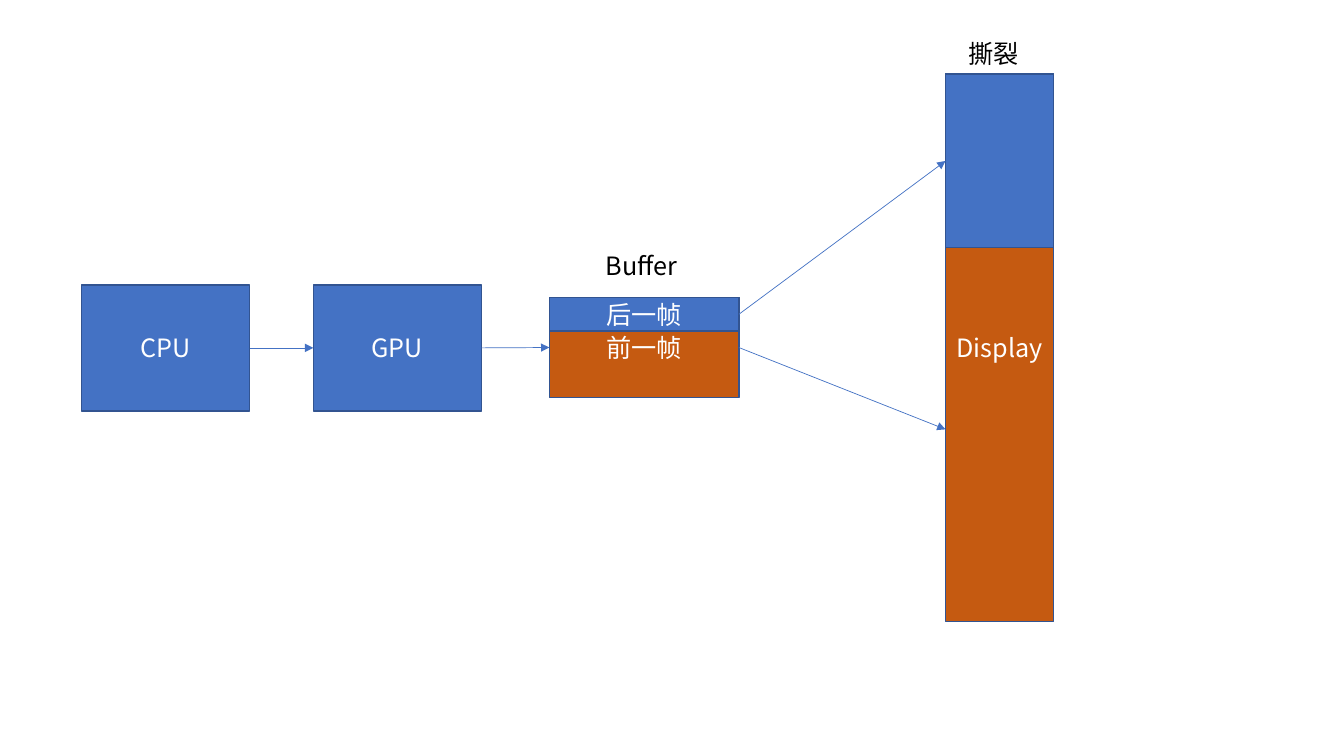
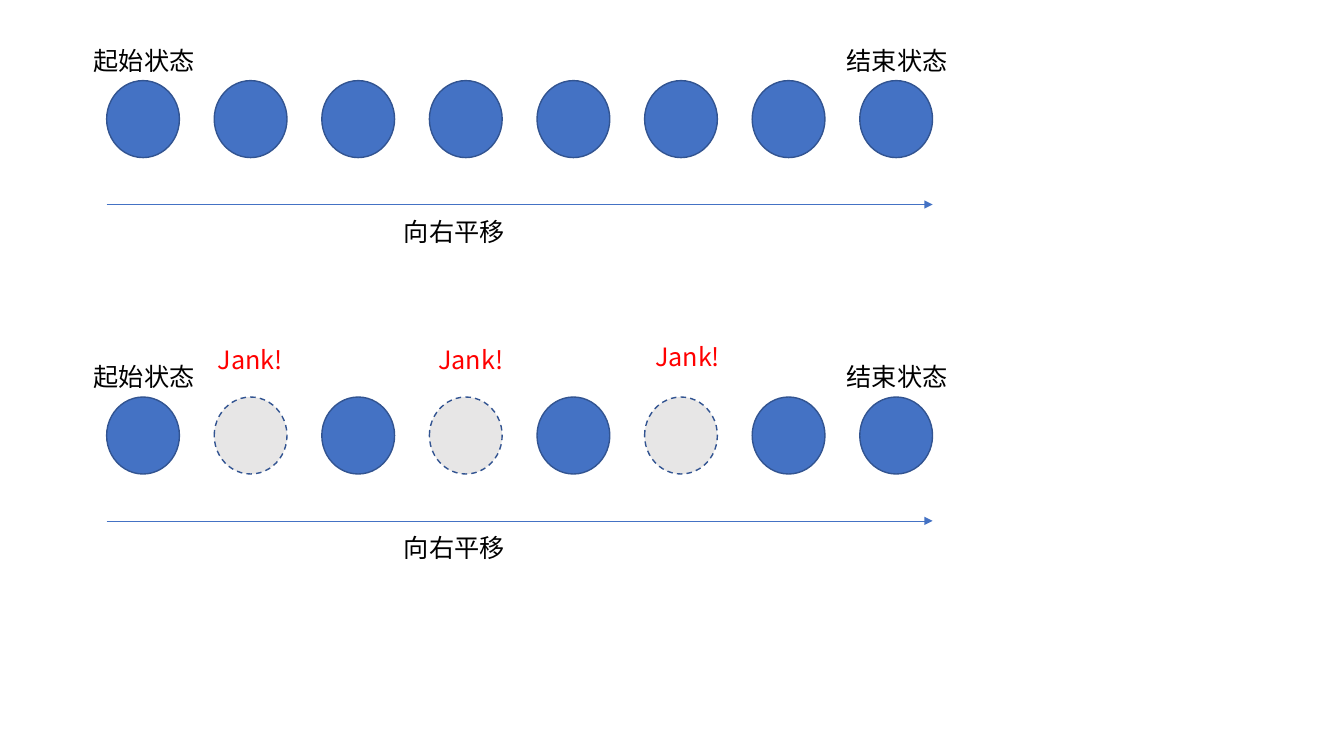
import lxml.etree
import pptx
import pptx.dml.color
import pptx.enum.dml
import pptx.enum.shapes
import pptx.enum.text
import pptx.oxml.ns
import pptx.util

Pt = pptx.util.Pt
RGBColor = pptx.dml.color.RGBColor
MSO_SHAPE = pptx.enum.shapes.MSO_SHAPE
PP_ALIGN = pptx.enum.text.PP_ALIGN
qn = pptx.oxml.ns.qn

BLUE = RGBColor(0x44, 0x72, 0xC4)
OUTLINE = RGBColor(0x32, 0x54, 0x91)
ORANGE = RGBColor(0xC5, 0x5A, 0x11)
GREY = RGBColor(0xE7, 0xE6, 0xE6)
RED = RGBColor(0xFF, 0x00, 0x00)
BLACK = RGBColor(0x00, 0x00, 0x00)
WHITE = RGBColor(0xFF, 0xFF, 0xFF)
FONT = "Noto Sans CJK SC"

FRAME_COUNT = 8
FRAME_LEFT = 76.2
FRAME_STEP = 76.85
FRAME_WIDTH = 52
FRAME_HEIGHT = 55


def write(box, text, color, align):
    box.text_frame.word_wrap = True
    para = box.text_frame.paragraphs[0]
    para.text = text
    para.alignment = align
    font = para.font
    font.name = FONT
    font.size = Pt(18)
    font.color.rgb = color
    properties = para.runs[0].font
    properties.name = FONT
    latin = properties._element.find(qn("a:latin"))
    east_asian = lxml.etree.Element(qn("a:ea"), typeface=FONT)
    latin.addnext(east_asian)


def add_block(page, kind, left, top, width, height, fill, text="", dashed=False):
    block = page.shapes.add_shape(kind, Pt(left), Pt(top), Pt(width), Pt(height))
    block.shadow.inherit = False
    block.fill.solid()
    block.fill.fore_color.rgb = fill
    block.line.color.rgb = OUTLINE
    block.line.width = Pt(1)
    if dashed:
        block.line.dash_style = pptx.enum.dml.MSO_LINE.DASH
    if text:
        block.text_frame.vertical_anchor = pptx.enum.text.MSO_ANCHOR.MIDDLE
        write(block, text, WHITE, PP_ALIGN.CENTER)
    return block


def add_label(page, left, top, width, text, color=BLACK):
    label = page.shapes.add_textbox(Pt(left), Pt(top), Pt(width), Pt(29))
    write(label, text, color, PP_ALIGN.LEFT)


def add_arrow(page, x1, y1, x2, y2):
    arrow = page.shapes.add_connector(
        pptx.enum.shapes.MSO_CONNECTOR.STRAIGHT, Pt(x1), Pt(y1), Pt(x2), Pt(y2))
    arrow.line.color.rgb = BLUE
    arrow.line.width = Pt(0.5)
    line = arrow.line._get_or_add_ln()
    lxml.etree.SubElement(line, qn("a:tailEnd"), type="triangle")
    lxml.etree.SubElement(arrow._element.spPr, qn("a:effectLst"))
    return arrow


def join(page, source, target):
    arrow = add_arrow(page, 0, 0, 0, 0)
    arrow.begin_connect(source, 3)
    arrow.end_connect(target, 1)


def build_tearing(page):
    rectangle = MSO_SHAPE.RECTANGLE
    cpu = add_block(page, rectangle, 58.3, 203.5, 120, 90, BLUE, "CPU")
    gpu = add_block(page, rectangle, 223.8, 203.5, 120, 90, BLUE, "GPU")
    add_block(page, rectangle, 675.4, 53, 77, 391, ORANGE, "Display")
    old_frame = add_block(page, rectangle, 392.4, 212.5, 135.4, 71.5, ORANGE, "前一帧")
    new_frame = add_block(page, rectangle, 392.4, 212.5, 135.4, 24, BLUE, "后一帧")
    torn_part = add_block(page, rectangle, 675.4, 53, 77, 124, BLUE)
    for source, target in ((cpu, gpu), (gpu, old_frame), (new_frame, torn_part)):
        join(page, source, target)
    arrow = add_arrow(page, 527.8, 248.2, 675.4, 306.7)
    arrow.begin_connect(old_frame, 3)
    add_label(page, 425.5, 175, 70, "Buffer")
    add_label(page, 684.7, 23.8, 59, "撕裂")


def build_motion(page, top, dropped=()):
    for index in range(FRAME_COUNT):
        missing = index in dropped
        add_block(page, MSO_SHAPE.OVAL, FRAME_LEFT + index * FRAME_STEP, top,
                  FRAME_WIDTH, FRAME_HEIGHT, GREY if missing else BLUE, dashed=missing)
    last_left = FRAME_LEFT + (FRAME_COUNT - 1) * FRAME_STEP
    add_label(page, FRAME_LEFT - 16.4, top - 28.8, 94, "起始状态")
    add_label(page, last_left - 16.4, top - 28.8, 94, "结束状态")
    add_arrow(page, FRAME_LEFT, top + 88.5, last_left + FRAME_WIDTH, top + 88.5)
    add_label(page, 281.5, top + 93, 128, "向右平移")


def build_jank(page):
    build_motion(page, 57.6)
    build_motion(page, 283.6, dropped=(1, 3, 5))
    for left, top in ((148.3, 242.6), (306, 242.6), (460.8, 240.5)):
        add_label(page, left, top, 70, "Jank!", RED)


def main():
    deck = pptx.Presentation()
    deck.slide_width = Pt(960)
    deck.slide_height = Pt(540)
    blank = deck.slide_layouts[6]
    for build in (build_tearing, build_jank):
        build(deck.slides.add_slide(blank))
    deck.save("out.pptx")


if __name__ == "__main__":
    main()
